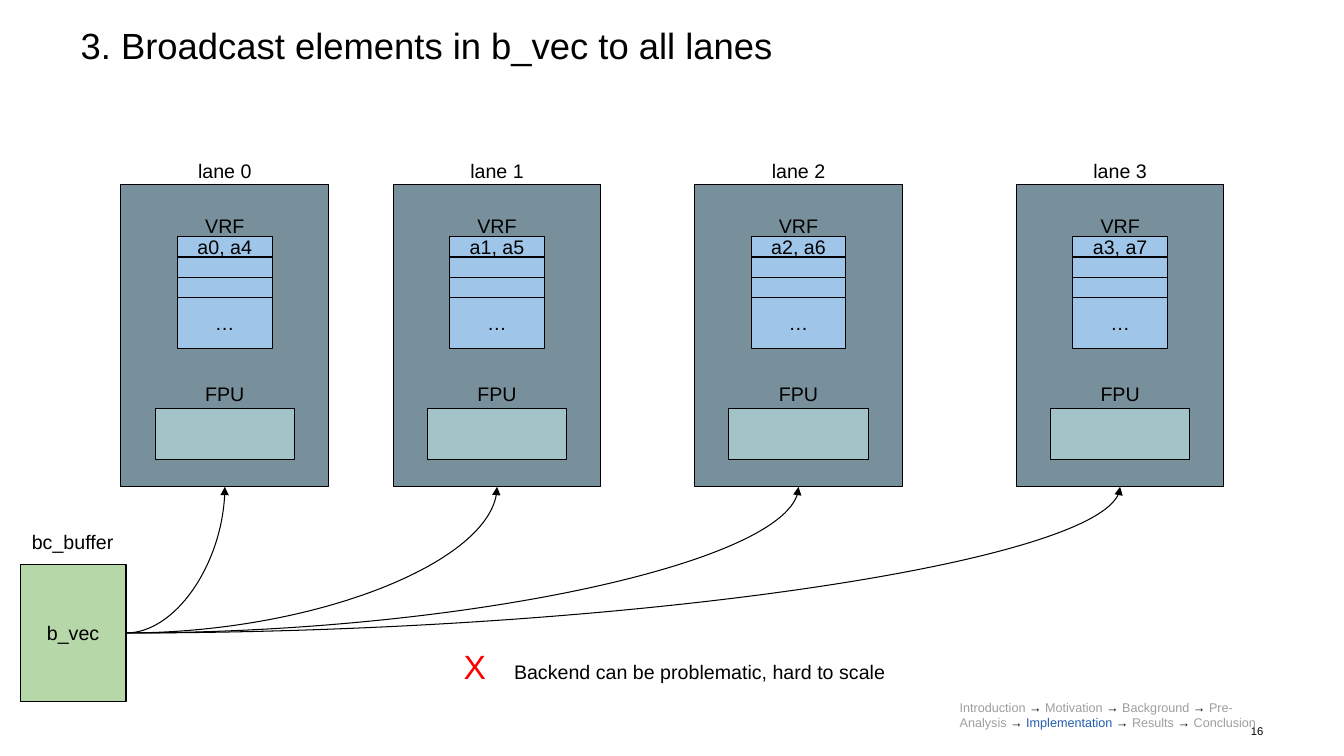
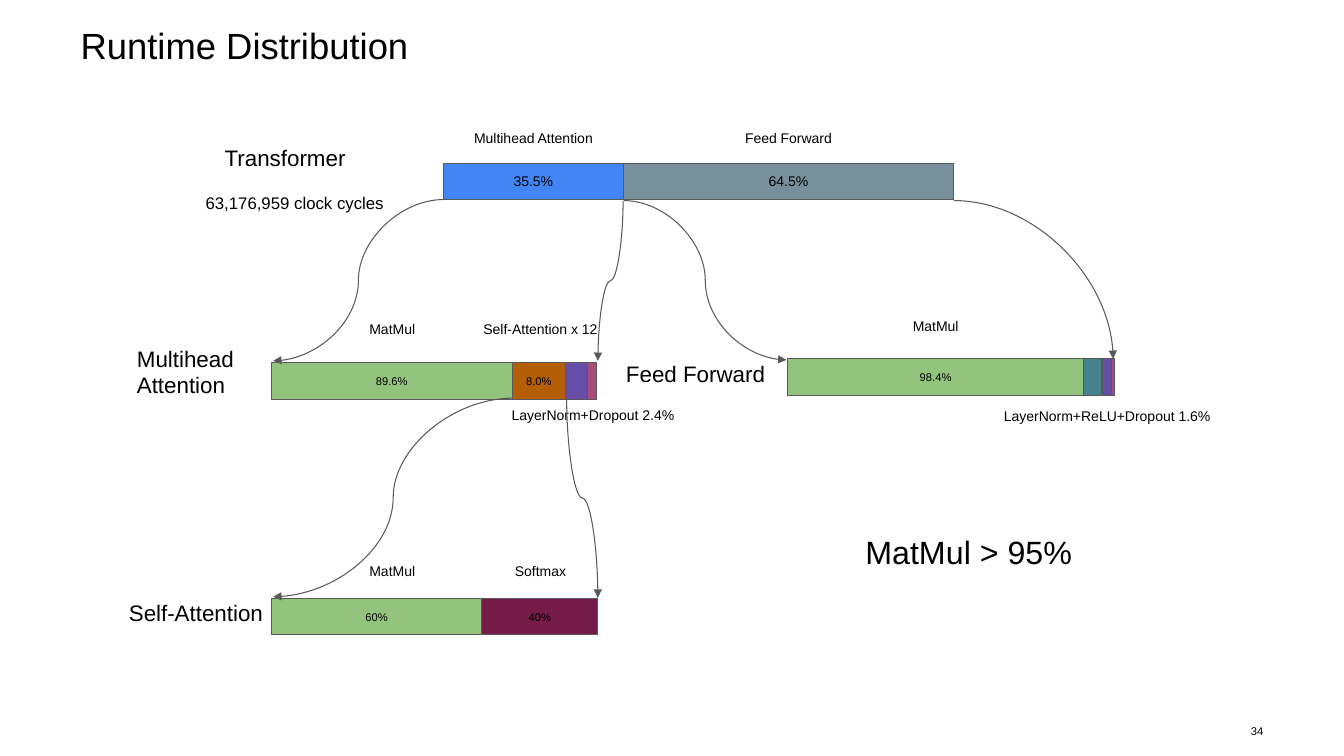
from itertools import pairwise
from lxml import etree
from pptx import Presentation
from pptx.dml.color import RGBColor
from pptx.enum.shapes import MSO_CONNECTOR, MSO_SHAPE
from pptx.enum.text import MSO_ANCHOR, PP_ALIGN
from pptx.oxml.ns import qn
from pptx.util import Inches, Pt

FONT = "Arial"
BLACK, GRAY, RED, ACCENT = "000000", "9E9E9E", "FF0000", "215CAF"
BAR_LINE = "595959"
SLATE, SKY, AQUA, LEAF = "78909C", "9FC5E8", "A2C4C9", "B6D7A8"
BLUE, GREEN, ORANGE, TEAL = "4285F4", "93C47D", "B45F06", "45818E"
PURPLE, PINK, WINE = "674EA7", "A64D79", "741B47"
CHAPTERS = ["Introduction", "Motivation", "Background", "Pre-Analysis",
            "Implementation", "Results", "Conclusion"]


def rgb(value):
    return RGBColor.from_string(value)


class Deck:
    """Holds the shared style and the current slide, and draws each kind of element."""

    def __init__(self):
        self.file = Presentation()
        self.file.slide_width, self.file.slide_height = Inches(13.33), Inches(7.5)

    def add_slide(self, title, number):
        self.slide = self.file.slides.add_slide(self.file.slide_layouts[6])
        self.target = self.slide.shapes
        heading = self.text([(title, BLACK, 26)], 0.8, 0.28, 11.73, 0.98, inset=0)
        heading.line_spacing = 0.9
        self.text([(number, BLACK, 8)], 12.18, 7.13, 0.35, 0.24,
                  PP_ALIGN.RIGHT, MSO_ANCHOR.MIDDLE, 0)

    def begin_group(self):
        self.target = self.slide.shapes.add_group_shape().shapes

    def end_group(self):
        self.target = self.slide.shapes

    def fill_text(self, frame, runs, align, anchor, inset):
        frame.word_wrap = True
        frame.vertical_anchor = anchor
        frame.margin_left = frame.margin_right = Inches(inset)
        frame.margin_top = frame.margin_bottom = Inches(inset)
        paragraph = frame.paragraphs[0]
        paragraph.alignment = align
        for words, color, size in runs:
            run = paragraph.add_run()
            run.text = words
            run.font.name, run.font.size = FONT, Pt(size)
            run.font.color.rgb = rgb(color)
        return paragraph

    def text(self, runs, left, top, width, height,
             align=PP_ALIGN.LEFT, anchor=MSO_ANCHOR.TOP, inset=0.1):
        area = self.target.add_textbox(
            Inches(left), Inches(top), Inches(width), Inches(height))
        return self.fill_text(area.text_frame, runs, align, anchor, inset)

    def label(self, words, center, top, width, size, height=0.44):
        self.text([(words, BLACK, size)], center - width / 2, top, width, height,
                  PP_ALIGN.CENTER)

    def block(self, fill, left, top, width, height, words="", size=14, line=BLACK):
        block = self.target.add_shape(
            MSO_SHAPE.RECTANGLE,
            Inches(left), Inches(top), Inches(width), Inches(height))
        block.shadow.inherit = False
        block.fill.solid()
        block.fill.fore_color.rgb = rgb(fill)
        block.line.color.rgb = rgb(line)
        block.line.width = Pt(0.75)
        if words:
            self.fill_text(block.text_frame, [(words, BLACK, size)],
                           PP_ALIGN.CENTER, MSO_ANCHOR.MIDDLE, 0.1)

    def bar(self, top, edges, parts, size):
        for (left, right), (fill, share) in zip(pairwise(edges), parts):
            self.block(fill, left, top, right - left, 0.36, share, size, BAR_LINE)

    def curve(self, start, end, color, quarter=False, upright=False):
        (x1, y1), (x2, y2) = start, end
        if upright:
            mid_x, mid_y = (x1 + x2) / 2, (y1 + y2) / 2
            half_x, half_y = (x2 - x1) / 2, (y2 - y1) / 2
            x1, y1 = mid_x - half_y, mid_y + half_x
            x2, y2 = mid_x + half_y, mid_y - half_x
        curve = self.target.add_connector(
            MSO_CONNECTOR.CURVE, Inches(x1), Inches(y1), Inches(x2), Inches(y2))
        curve.line.color.rgb = rgb(color)
        curve.line.width = Pt(0.75)
        properties = curve._element.spPr
        if upright:
            properties.find(qn("a:xfrm")).set("rot", "5400000")
        if quarter:
            properties.find(qn("a:prstGeom")).set("prst", "curvedConnector2")
        arrow = etree.SubElement(properties.find(qn("a:ln")), qn("a:tailEnd"))
        arrow.set("type", "triangle")
        etree.SubElement(properties, qn("a:effectLst"))

    def trail(self, current):
        runs = []
        for chapter in CHAPTERS:
            if runs:
                runs.append((" → ", BLACK, 9))
            runs.append((chapter, ACCENT if chapter == current else GRAY, 9))
        self.text(runs, 9.42, 6.84, 3.22, 0.66)

    def lane(self, index, left):
        center = left + 1.03
        self.begin_group()
        self.block(SLATE, left, 1.83, 2.06, 3)
        self.label(f"lane {index}", center, 1.48, 0.8, 14)
        rows = [f"a{index}, a{index + 4}", "", "", "…"]
        for row, words in enumerate(rows):
            height = 0.51 if row == len(rows) - 1 else 0.2
            self.block(SKY, center - 0.47, 2.35 + 0.2 * row, 0.94, height, words)
        self.label("VRF", center, 2.02, 0.65, 14)
        self.block(AQUA, center - 0.69, 4.05, 1.38, 0.51)
        self.label("FPU", center, 3.69, 0.65, 14)
        self.end_group()


def broadcast(deck):
    deck.add_slide("3. Broadcast elements in b_vec to all lanes", "16")
    deck.text([("X", RED, 24), ("\tBackend can be problematic, hard to scale", BLACK, 14)],
              4.5, 6.31, 4.97, 0.61)
    deck.block(LEAF, 0.2, 5.6, 1.05, 1.36, "b_vec")
    deck.label("bc_buffer", 0.72, 5.16, 1.19, 14)
    for index, left in enumerate([1.2, 3.9, 6.89, 10.08]):
        deck.curve((1.25, 6.28), (left + 1.03, 4.83), BLACK, quarter=True)
        deck.lane(index, left)
    deck.trail("Implementation")


def runtime(deck):
    deck.add_slide("Runtime Distribution", "34")
    deck.bar(1.62, [4.4, 6.18, 9.46], [(BLUE, "35.5%"), (SLATE, "64.5%")], 10)
    deck.bar(3.6, [2.69, 5.08, 5.61, 5.83, 5.92],
             [(GREEN, "89.6%"), (ORANGE, "8.0%"), (PURPLE, ""), (PINK, "")], 8)
    deck.bar(3.56, [7.81, 10.75, 10.93, 11.02, 11.05],
             [(GREEN, "98.4%"), (TEAL, ""), (PURPLE, ""), (PINK, "")], 8)
    deck.bar(5.94, [2.69, 4.78, 5.93], [(GREEN, "60%"), (WINE, "40%")], 8)

    for words, center, top in [
        ("Multihead Attention", 5.29, 1.2),
        ("Feed Forward", 7.82, 1.2),
        ("MatMul", 3.89, 3.1),
        ("Self-Attention x 12", 5.36, 3.1),
        ("LayerNorm+Dropout 2.4%", 5.88, 3.95),
        ("MatMul", 9.28, 3.07),
        ("LayerNorm+ReLU+Dropout 1.6%", 10.98, 3.96),
        ("MatMul", 3.89, 5.5),
        ("Softmax", 5.36, 5.5),
    ]:
        deck.label(words, center, top, 2.35, 10, 0.37)

    deck.curve((4.4, 1.98), (2.71, 3.58), BAR_LINE)
    deck.curve((6.18, 1.99), (5.93, 3.58), BAR_LINE, upright=True)
    deck.curve((6.19, 1.99), (7.8, 3.57), BAR_LINE)
    deck.curve((9.46, 1.99), (11.04, 3.56), BAR_LINE, quarter=True)
    deck.curve((5.09, 3.95), (2.71, 5.92), BAR_LINE)
    deck.curve((5.62, 3.95), (5.93, 5.93), BAR_LINE, upright=True)

    for words, size, left, top, width, height in [
        ("Transformer", 16, 2.13, 1.33, 1.61, 0.47),
        ("Multihead Attention", 16, 1.26, 3.32, 1.61, 0.74),
        ("Self-Attention", 16, 1.18, 5.84, 1.61, 0.47),
        ("Feed Forward", 16, 6.11, 3.47, 1.69, 0.47),
        ("63,176,959 clock cycles", 12, 1.94, 1.81, 2.15, 0.4),
    ]:
        deck.text([(words, BLACK, size)], left, top, width, height)
    deck.label("MatMul > 95%", 9.61, 5.18, 3.74, 23, 0.59)


def main():
    deck = Deck()
    broadcast(deck)
    runtime(deck)
    deck.file.save("out.pptx")


if __name__ == "__main__":
    main()
